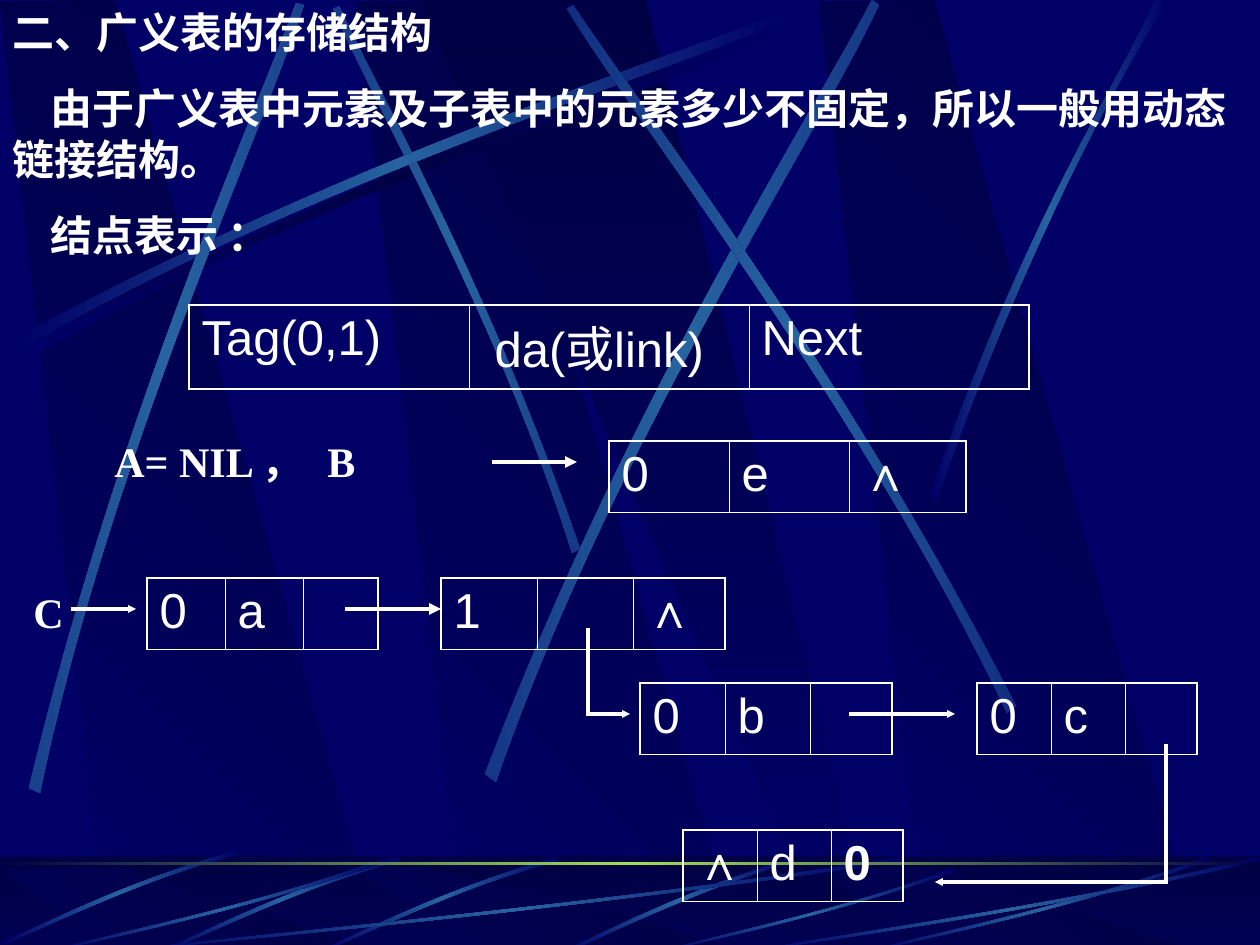
import math

import lxml.etree
import pptx
import pptx.dml.color
import pptx.enum.shapes
import pptx.enum.text
import pptx.oxml
import pptx.oxml.ns
import pptx.util

SCALE = 914400 / 126
COLORS = {"base": "000066", "deep": "000044", "beam": "2663A0", "horizon": "9CE157", "text": "FFFFFF"}
FACET = ("deep", "base")
BEAM = ("base", "beam", "base")
SHADE = ("base", "deep", "base")
HEADING = {"name": "Times New Roman", "size": pptx.util.Pt(24), "bold": True}
CELL = {"name": "Arial", "size": pptx.util.Pt(28)}

SWEEP = [(25, 347), (358, 169), (660, 74), (789, 23), (793, 30), (665, 87), (320, 190), (29, 359)]
BEAMS = [
    (45, [(580, 549), (493, 295), (381, 97), (339, 6), (333, 9), (372, 100), (501, 325), (572, 553)]),
    (0, [(x - 8, y - 10) for x, y in SWEEP]),
    (311.7, [(29, 788), (117, 421), (248, 132), (296, 3), (304, 5), (261, 136), (108, 464), (40, 793)]),
    (321.6, [(485, 774), (627, 403), (804, 129), (872, 0), (879, 5), (818, 136), (612, 447), (496, 782)]),
    (34.8, [(1016, 706), (844, 369), (650, 120), (573, 5), (567, 9), (639, 127), (863, 410), (1007, 713)]),
    (0, [(930, 495), (1026, 218), (1119, 83), (1155, 0), (1168, 0), (1053, 183), (969, 406), (937, 500)]),
]
FLOOR_CURVE = [(790, 859), (677, 893), (601, 935), (564, 950), (571, 951), (617, 929), (719, 882), (791, 863)]
FLOOR_ARC = [(557, 857), (447, 888), (362, 932), (323, 949), (324, 951), (363, 936), (460, 886), (559, 861)]
FLOOR_RAY = [(903, 861), (566, 911), (260, 937), (130, 951), (126, 950), (255, 934), (605, 905), (900, 857)]
ARC_OFFSETS = [(0, 0), (-158, 0), (-322, -6)]
RAY_BOXES = [(126, 857, 777, 94), (53, 857, 336, 94), (664, 868, 291, 83), (872, 857, 336, 94), (756, 857, 504, 94)]

PARAGRAPHS = [
    ("二、广义表的存储结构", 0, 0),
    ("由于广义表中元素及子表中的元素多少不固定，所以一般用动态链接结构。", 38, 15),
    ("结点表示 ：", 38, 15),
    ("A= NIL ，\tB", 102, 100),
    ("C", 21, 57.6),
]
NODES = [
    (609, 441, 120, 117, ("0", "e", "∧")),
    (147, 578, 78, 75, ("0", "a", "")),
    (441, 578, 96, 92, ("1", "", "∧")),
    (640, 683, 85, 82, ("0", "b", "")),
    (977, 683, 74, 72, ("0", "c", "")),
]
LINES = [
    (494, 462, 577, 462, "med"), (73, 609, 136, 609, "sm"), (347, 609, 441, 609, "med"),
    (1166, 746, 1166, 882, None), (1166, 882, 935, 882, "sm"), (851, 714, 955, 714, "sm"),
    (588, 630, 588, 714, None), (588, 714, 630, 714, "sm"),
]


def emu(pixels):
    """Turn px into EMU."""
    return pptx.util.Emu(round(pixels * SCALE))


def color(name):
    """Return a palette colour."""
    return pptx.dml.color.RGBColor.from_string(COLORS[name])


def rotate(point, degrees):
    """Rotate a point clockwise on the page about the page origin."""
    angle = math.radians(degrees)
    x, y = point
    return (x * math.cos(angle) - y * math.sin(angle), x * math.sin(angle) + y * math.cos(angle))


class SlideBuilder:
    """Hold the style and the current slide."""

    def __init__(self, presentation):
        """Add a blank slide with the base background."""
        self.slide = presentation.slides.add_slide(presentation.slide_layouts[6])
        self.shapes = self.slide.shapes
        fill = self.slide.background.fill
        fill.solid()
        fill.fore_color.rgb = color("base")

    def format(self, font, values):
        """Apply format values and the text colour to a font."""
        for name, value in values.items():
            setattr(font, name, value)
        font.color.rgb = color("text")

    def paint(self, shape, names, angle):
        """Fill a shape with an even gradient and no line."""
        shape.shadow.inherit = False
        shape.line.fill.background()
        shape.fill.gradient()
        gradient = shape.fill._fill._gradFill
        gradient.set("rotWithShape", "0")
        stops = gradient.find(pptx.oxml.ns.qn("a:gsLst"))
        for stop in list(stops):
            stops.remove(stop)
        for index, name in enumerate(names):
            stop = lxml.etree.SubElement(stops, pptx.oxml.ns.qn("a:gs"), pos=str(100000 * index // (len(names) - 1)))
            lxml.etree.SubElement(stop, pptx.oxml.ns.qn("a:srgbClr"), val=COLORS[name])
        gradient.find(pptx.oxml.ns.qn("a:lin")).set("ang", str(angle * 60000))

    def outline(self, points, names, angle):
        """Add a closed gradient outline."""
        places = [(emu(x), emu(y)) for x, y in points]
        builder = self.shapes.build_freeform(*places[0])
        builder.add_line_segments(places[1:], close=True)
        shape = builder.convert_to_shape()
        self.paint(shape, names, angle)
        return shape

    def beam(self, points, rotation=0, names=BEAM):
        """Add a beam with two curved sides, turned by its rotation."""
        flat = [rotate(point, -rotation) for point in points]
        middle = tuple((min(axis) + max(axis)) / 2 for axis in zip(*flat))
        dx, dy = (new - old for new, old in zip(rotate(middle, rotation), middle))
        shape = self.outline([(x + dx, y + dy) for x, y in flat], names, 180)
        shape.rotation = rotation
        segments = list(shape._element.iter(pptx.oxml.ns.qn("a:lnTo")))
        for side in (segments[:3], segments[4:7]):
            bend = lxml.etree.Element(pptx.oxml.ns.qn("a:cubicBezTo"))
            side[0].addprevious(bend)
            for segment in side:
                bend.append(segment[0])
                segment.getparent().remove(segment)

    def facets(self, top, bottom):
        """Add the four slanted background facets."""
        for left in (357, 0, 819):
            points = [(left + 108, bottom), (left + 381, bottom + 2), (left + 115, top), (left, top + 2)]
            self.outline(points, FACET, 135)
        self.outline([(420, top), (829, bottom), (874, bottom), (646, top)], FACET, 90)

    def band(self, top, height, names=FACET, angle=90):
        """Add a full-width band."""
        kind = pptx.enum.shapes.MSO_SHAPE.RECTANGLE
        shape = self.shapes.add_shape(kind, 0, emu(top), emu(1260), emu(height))
        self.paint(shape, names, angle)
        return shape

    def veil(self, top, height):
        """Add a half-transparent dark band."""
        shape = self.band(top, height)
        shape.fill.solid()
        shape.fill.fore_color.rgb = color("deep")
        solid = shape.fill._fill._solidFill[0]
        lxml.etree.SubElement(solid, pptx.oxml.ns.qn("a:alpha"), val="50000")

    def text(self, left, top, width, height, paragraphs, tab):
        """Add a text box from text, first-line indent and space before."""
        frame = self.shapes.add_textbox(*map(emu, (left, top, width, height))).text_frame
        frame.word_wrap = True
        for index, (words, indent, space) in enumerate(paragraphs):
            paragraph = frame.add_paragraph() if index else frame.paragraphs[0]
            paragraph.space_before = pptx.util.Pt(space)
            properties = paragraph._p.get_or_add_pPr()
            properties.set("indent", str(emu(indent)))
            if "\t" in words:
                tabs = lxml.etree.SubElement(properties, pptx.oxml.ns.qn("a:tabLst"))
                lxml.etree.SubElement(tabs, pptx.oxml.ns.qn("a:tab"), pos=str(emu(tab)), algn="l")
            run = paragraph.add_run()
            run.text = words
            self.format(run.font, HEADING)

    def node(self, left, top, width, last, words, height=71, bold=("∧",), indents=(0, 0, 0)):
        """Add a one-row node table."""
        widths = (width, width, last)
        box = map(emu, (left, top, sum(widths), height))
        table = self.shapes.add_table(1, len(words), *box).table
        table.first_row = table.horz_banding = False
        for index, word in enumerate(words):
            table.columns[index].width = emu(widths[index])
            cell = table.cell(0, index)
            sides = {"L": index == 0, "R": index == len(words) - 1, "T": True, "B": True}
            for side, outer in sides.items():
                self.border(cell, side, 1.08 if outer else 0.45)
            cell.fill.background()
            paragraph = cell.text_frame.paragraphs[0]
            paragraph._p.get_or_add_pPr().set("indent", str(emu(indents[index])))
            if word:
                run = paragraph.add_run()
                run.text = word
                self.format(run.font, {**CELL, "bold": word in bold})

    def border(self, cell, side, points):
        """Draw one side of a cell."""
        properties = cell._tc.get_or_add_tcPr()
        line = lxml.etree.SubElement(properties, pptx.oxml.ns.qn("a:ln" + side), w=str(pptx.util.Pt(points)))
        solid = lxml.etree.SubElement(line, pptx.oxml.ns.qn("a:solidFill"))
        lxml.etree.SubElement(solid, pptx.oxml.ns.qn("a:srgbClr"), val=COLORS["text"])

    def line(self, x1, y1, x2, y2, head):
        """Add a link line, with an arrowhead of the given size if any."""
        kind = pptx.enum.shapes.MSO_CONNECTOR.STRAIGHT
        connector = self.shapes.add_connector(kind, *map(emu, (x1, y1, x2, y2)))
        connector.line.width = pptx.util.Pt(2.25)
        connector.line.color.rgb = color("text")
        outline = connector.line._get_or_add_ln()
        outline.set("cap", "sq")
        if head:
            lxml.etree.SubElement(outline, pptx.oxml.ns.qn("a:tailEnd"), type="triangle", w=head, len=head)
        lxml.etree.SubElement(connector._element.spPr, pptx.oxml.ns.qn("a:effectLst"))


def main():
    """Build the generalized list storage slide."""
    presentation = pptx.Presentation()
    presentation.slide_width, presentation.slide_height = emu(1260), emu(945)
    builder = SlideBuilder(presentation)
    builder.facets(0, 946)
    builder.beam(SWEEP, names=SHADE)
    for rotation, points in BEAMS:
        builder.beam(points, rotation)
    builder.band(857, 94)
    builder.facets(867, 950)
    builder.veil(856, 94)
    builder.beam(FLOOR_CURVE)
    for dx, dy in ARC_OFFSETS:
        builder.beam([(x + dx, y + dy) for x, y in FLOOR_ARC], 314.9)
    for left, top, width, height in RAY_BOXES:
        builder.beam([(left + (x - 126) * width / 777, top + (y - 857) * height / 94) for x, y in FLOOR_RAY])
    builder.band(862, 3, ("deep", "horizon", "deep"), 180)
    builder.text(0, 0, 1260, 727, PARAGRAPHS, tab=436)
    builder.node(189, 305, 280, 280, ("Tag(0,1)", "da(或link)", "Next"), height=84, indents=(0, 13, 0))
    for node in NODES:
        builder.node(*node)
    builder.node(683, 830, 74, 72, ("∧", "d", "0"), bold=("∧", "0"))
    for line in LINES:
        builder.line(*line)
    presentation.save("out.pptx")


if __name__ == "__main__":
    main()
